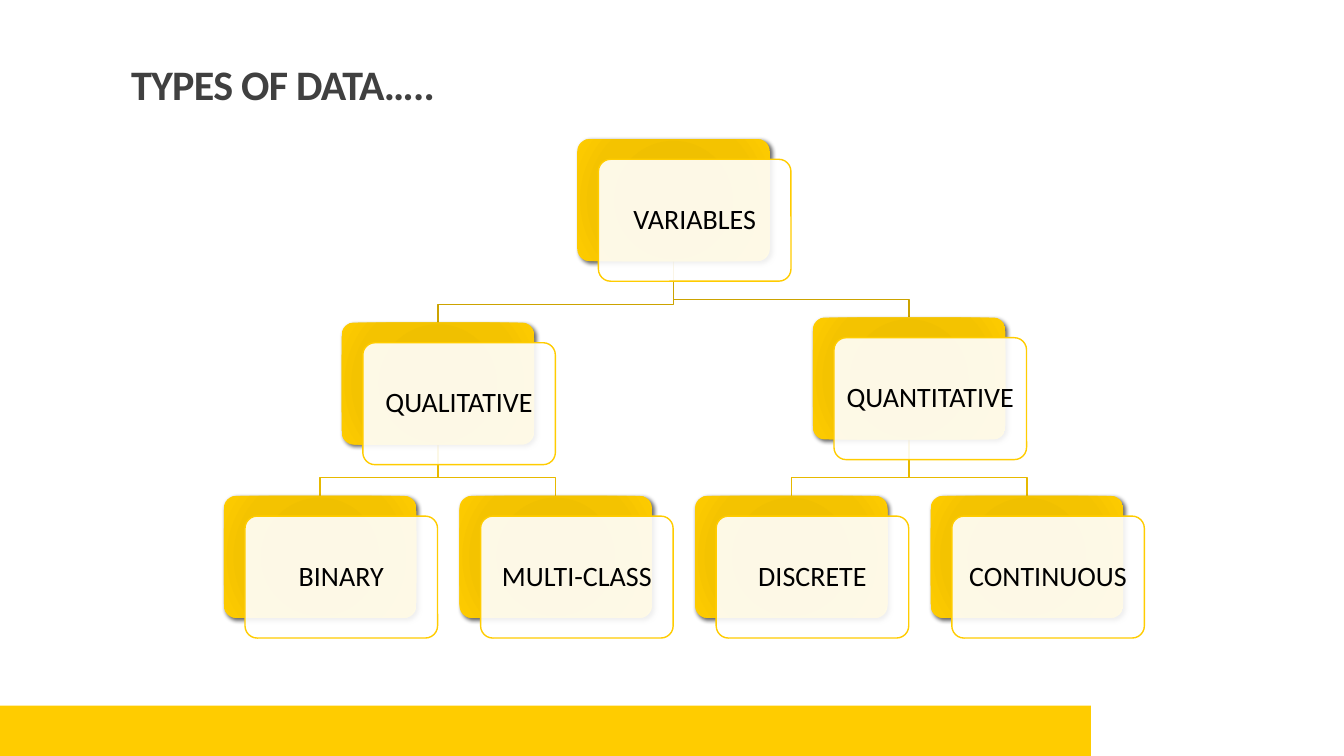
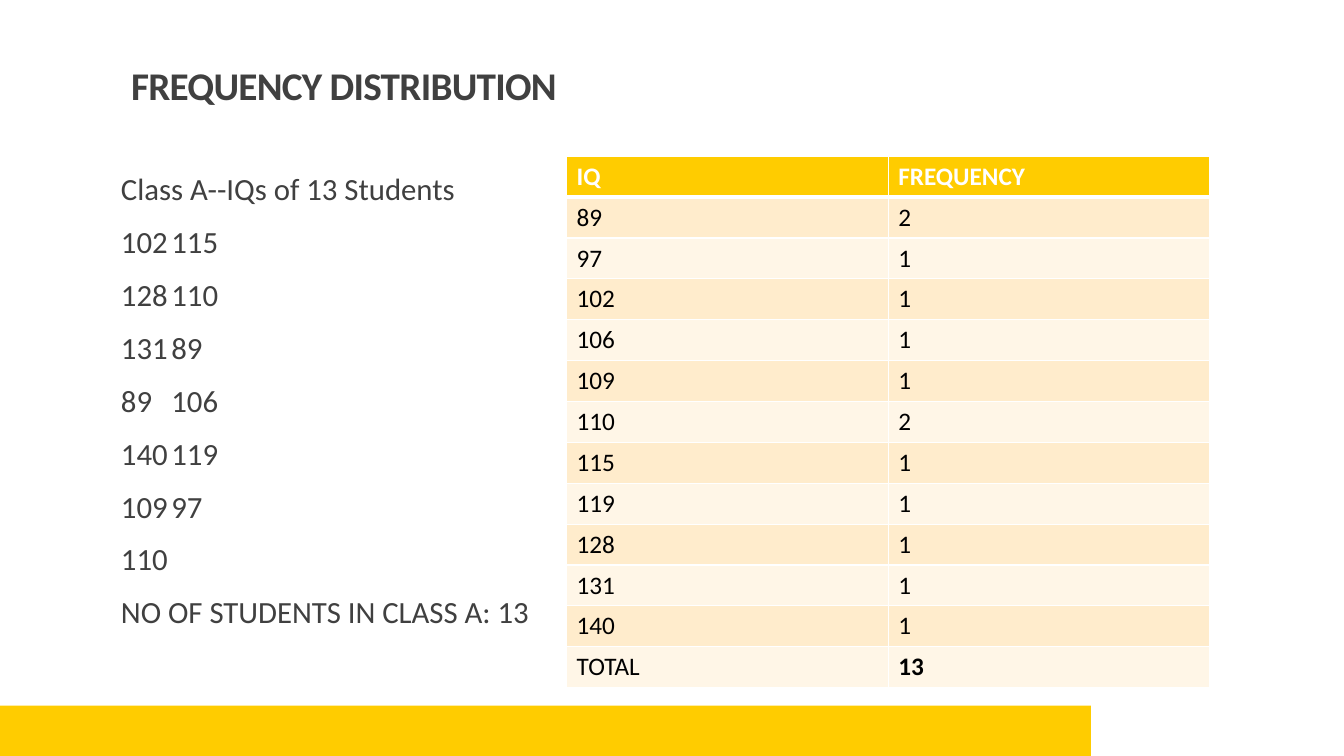
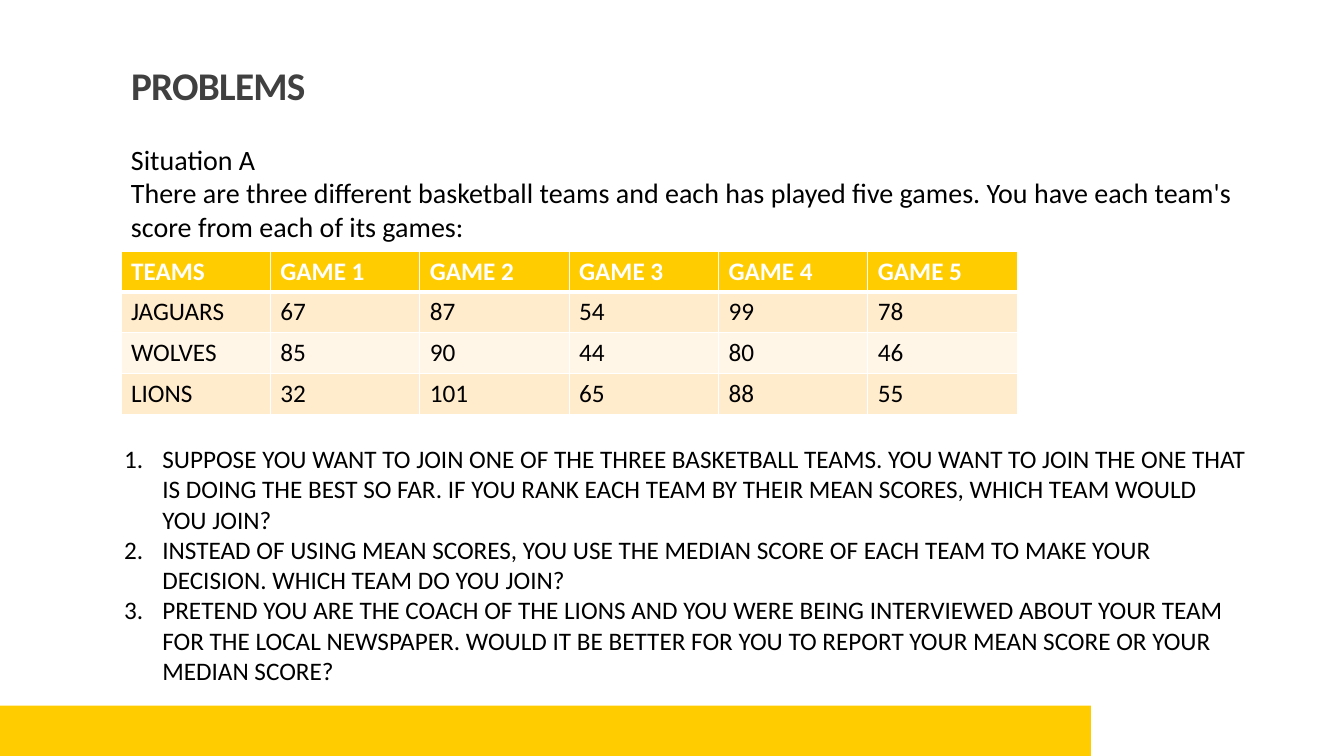
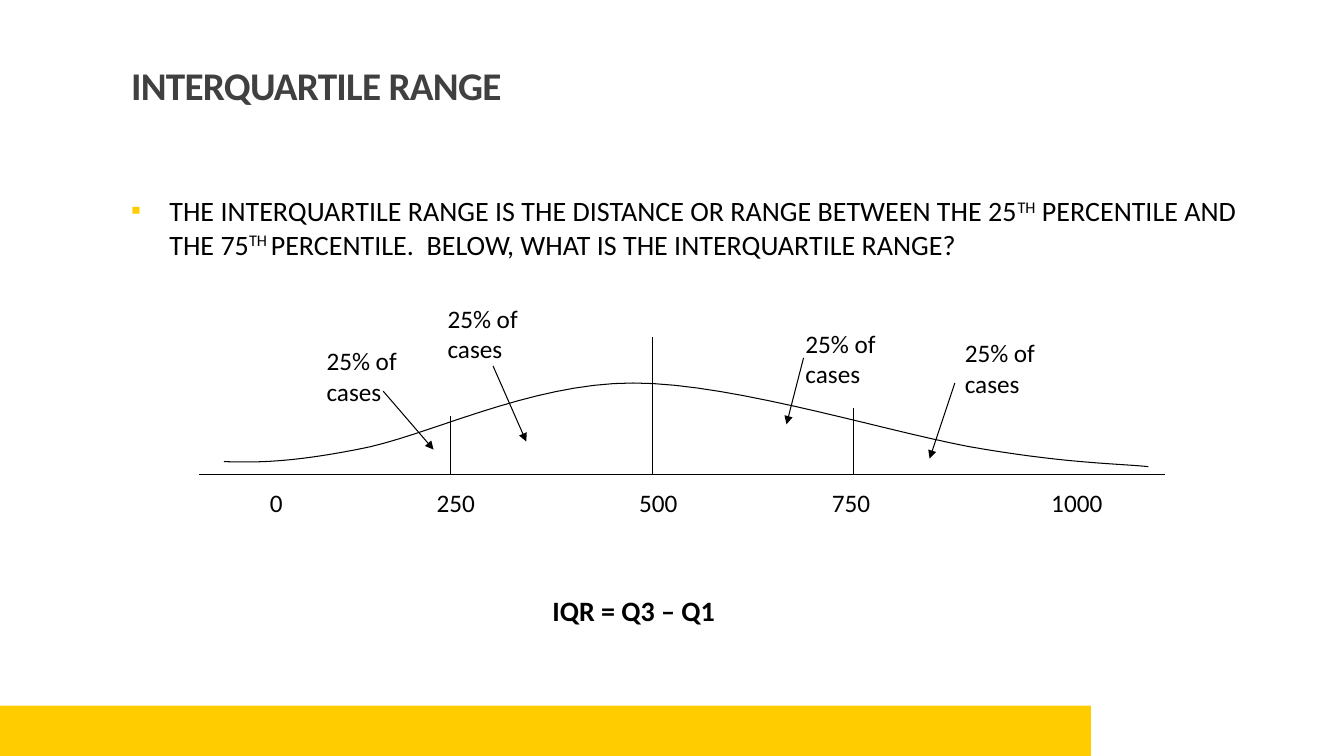
import pptx
import pptx.chart.data
import pptx.dml.color
import pptx.enum.shapes
import pptx.enum.text
import pptx.oxml
import pptx.oxml.ns
import pptx.util

Inches = pptx.util.Inches
Pt = pptx.util.Pt
qn = pptx.oxml.ns.qn
SHAPES = pptx.enum.shapes.MSO_SHAPE
ALIGN = pptx.enum.text.PP_ALIGN
ANCHOR = pptx.enum.text.MSO_ANCHOR

FONT = "Calibri"
GOLD = "FFCC00"
GRAY = "404040"
BLACK = "000000"
WHITE = "FFFFFF"
BANDS = ("FFF6E7", "FFECCC")
TITLE = (1.2, 0.31, 11, 0.82)


def color(code):
    """Turn a hex string into a colour."""
    return pptx.dml.color.RGBColor.from_string(code)


def node(tag, inner="", **attrs):
    """Build a drawing element from its tag, content and attributes."""
    pairs = "".join(f' {key}="{val}"' for key, val in attrs.items())
    space = pptx.oxml.ns.nsdecls("a")
    return pptx.oxml.parse_xml(f"<a:{tag} {space}{pairs}>{inner}</a:{tag}>")


def place(shape, box):
    """Move a shape to a box given in inches."""
    shape.left, shape.top, shape.width, shape.height = map(Inches, box)


def write(para, text, size, code=BLACK, bold=False):
    """Add one formatted run to a paragraph."""
    run = para.add_run()
    run.text = text
    font = run.font
    font.name, font.size, font.bold = FONT, Pt(size), bold
    font.color.rgb = color(code)
    return run


def lines(frame, count):
    """Yield the wanted number of paragraphs of a text frame."""
    for index in range(count):
        yield frame.add_paragraph() if index else frame.paragraphs[0]


def label(slide, box, texts, size=18, bold=False, align=ALIGN.LEFT):
    """Add a wrapped text box with one paragraph per text."""
    frame = slide.shapes.add_textbox(*map(Inches, box)).text_frame
    frame.word_wrap = True
    for para, text in zip(lines(frame, len(texts)), texts):
        para.alignment = align
        write(para, text, size, bold=bold)


def start(deck, layout, text, size=28):
    """Add a slide and format its title."""
    slide = deck.slides.add_slide(deck.slide_layouts[layout])
    title = slide.shapes.title
    place(title, TITLE)
    frame = title.text_frame
    frame.auto_size = pptx.enum.text.MSO_AUTO_SIZE.NONE
    frame.vertical_anchor = ANCHOR.BOTTOM
    para = frame.paragraphs[0]
    para.alignment, para.line_spacing = ALIGN.LEFT, 0.85
    run = write(para, text, size, GRAY, True)
    run.font._element.set("spc", "-50")
    return slide


def body(slide, box, count, marks, indent=0):
    """Move the body placeholder and yield its paragraphs with their marks."""
    shape = slide.placeholders[1]
    place(shape, box)
    frame = shape.text_frame
    frame.auto_size = pptx.enum.text.MSO_AUTO_SIZE.NONE
    for para in lines(frame, count):
        props = para._p.get_or_add_pPr()
        props.set("marL", str(Inches(indent)))
        props.set("indent", str(-Inches(indent)))
        for mark in marks:
            props.append(node(*mark[:-1], **mark[-1]))
        para.space_before = para.space_after = Pt(0)
        yield para


def band(deck, slide):
    """Put the bottom band on the slide master."""
    bar = slide.shapes.add_shape(SHAPES.RECTANGLE, *map(Inches, (0, 7, 10.82, 0.5)))
    bar.shadow.inherit = False
    bar.fill.solid()
    bar.fill.fore_color.rgb = color(GOLD)
    bar.line.fill.background()
    deck.slide_master.shapes.element.append(bar.element)


def trace(slide, points, code, width):
    """Draw an open outline through points in inches."""
    spots = [(Inches(x), Inches(y)) for x, y in points]
    build = slide.shapes.build_freeform(*spots[0])
    build.add_line_segments(spots[1:], close=False)
    shape = build.convert_to_shape()
    shape.shadow.inherit = False
    shape.fill.background()
    shape.line.color.rgb = color(code)
    shape.line.width = Pt(width)


def rule(slide, ends, arrow=False):
    """Draw a thin straight line, with an arrowhead if wanted."""
    kind = pptx.enum.shapes.MSO_CONNECTOR.STRAIGHT
    line = slide.shapes.add_connector(kind, *map(Inches, ends))
    line.line.color.rgb = color(BLACK)
    line.line.width = Pt(0.75)
    props = line.element.spPr
    if arrow:
        props.find(qn("a:ln")).append(node("tailEnd", type="triangle"))
    props.append(node("effectLst"))


def card(slide, x, y, size, shift, text):
    """Draw a gold block with a white labelled card in front."""
    block, front = (
        slide.shapes.add_shape(
            SHAPES.ROUNDED_RECTANGLE, *map(Inches, (x + dx, y + dy, *size)))
        for dx, dy in ((0, 0), shift))
    for shape in (block, front):
        shape.adjustments[0] = 0.1
        shape.shadow.inherit = False
    block.line.fill.background()
    block.fill.gradient()
    stops = ((0, "EEBE00"), (34, "F0C000"), (70, "F4C300"), (100, GOLD))
    inner = "".join(
        f'<a:gs pos="{pos}000"><a:srgbClr val="{code}"/></a:gs>' for pos, code in stops)
    focus = '<a:fillToRect l="100000" t="100000" r="100000" b="100000"/>'
    props = block.element.spPr
    props.replace(props.find(qn("a:gradFill")), node(
        "gradFill", f'<a:gsLst>{inner}</a:gsLst><a:path path="circle">{focus}</a:path>'))
    props.find(qn("a:effectLst")).append(node(
        "outerShdw", f'<a:srgbClr val="{BLACK}"><a:alpha val="60000"/></a:srgbClr>',
        blurRad=Pt(3), dist=Pt(2), dir=45 * 60000))
    front.fill.solid()
    front.fill.fore_color.rgb = color(WHITE)
    front.element.spPr.find(".//" + qn("a:srgbClr")).append(node("alpha", val=90000))
    front.line.color.rgb = color(GOLD)
    front.line.width = Pt(1)
    frame = front.text_frame
    frame.word_wrap = True
    frame.margin_left = frame.margin_right = Inches(0.05)
    frame.vertical_anchor = ANCHOR.MIDDLE
    para = frame.paragraphs[0]
    para.alignment, para.line_spacing = ALIGN.CENTER, 0.9
    write(para, text, 20)


def tree(slide, box, root):
    """Draw a tree of cards whose leaves share the box width equally."""
    left, top, width, _ = box
    size, shift = (1.91, 1.21), (0.21, 0.2)
    step = (width - size[0] - shift[0]) / 3
    leaves, cards = [], []

    def visit(item):
        """Place one branch and draw the links to its children."""
        text, drop, kids = item
        y = top + drop
        spots = [visit(kid) for kid in kids]
        if spots:
            x = sum(spot[0] for spot in spots) / len(spots)
        else:
            x = left + step * len(leaves)
            leaves.append(text)
        half = size[0] / 2
        for end, low in spots:
            bend = low - 0.18
            trace(slide, [(x + half, y + size[1]), (x + half, bend),
                          (end + half, bend), (end + half, low)],
                  "E7B900" if drop else "CCA300", 1)
        cards.append((x, y, text))
        return x, y

    visit(root)
    for x, y, text in cards:
        card(slide, x, y, size, shift, text)


def grid(slide, box, rows, strong=()):
    """Add a banded table with white cell borders."""
    table = slide.shapes.add_table(len(rows), len(rows[0]), *map(Inches, box)).table
    for i, row in enumerate(rows):
        for j, text in enumerate(row):
            cell = table.cell(i, j)
            props = cell._tc.get_or_add_tcPr()
            for side in "LRTB":
                thick = (i, side) in ((0, "B"), (1, "T"))
                props.append(node(
                    f"ln{side}",
                    f'<a:solidFill><a:srgbClr val="{WHITE}"/></a:solidFill>',
                    w=Pt(3 if thick else 1)))
            cell.fill.solid()
            cell.fill.fore_color.rgb = color(BANDS[i % 2] if i else GOLD)
            write(cell.text_frame.paragraphs[0], text, 18,
                  BLACK if i else WHITE, not i or (i, j) in strong)


def types(deck):
    """Build the slide with the tree of data types."""
    slide = start(deck, 5, "TYPES OF DATA…..", 30)
    band(deck, slide)
    leaf = 3.54
    tree(slide, (2.22, 1.38, 9.13, 4.95), ("VARIABLES", 0, [
        ("QUALITATIVE", 1.82, [("BINARY", leaf, []), ("MULTI-CLASS", leaf, [])]),
        ("QUANTITATIVE", 1.77, [("DISCRETE", leaf, []), ("CONTINUOUS", leaf, [])])]))


def counts(deck):
    """Build the slide with raw values and their frequencies."""
    slide = start(deck, 1, "FREQUENCY DISTRIBUTION")
    texts = ["Class A--IQs of 13 Students", "102\t115", "128\t110", "131\t89",
             "89\t106", "140\t119", "109\t97", "110", "NO OF STUDENTS IN CLASS A: 13"]
    stop = f'<a:tab pos="{Inches(2.1)}" algn="l"/>'
    marks = [("buNone", {}), ("tabLst", stop, {})]
    paras = body(slide, (1.2, 1.68, 4.42, 5.2), len(texts), marks)
    for i, (para, text) in enumerate(zip(paras, texts)):
        para.line_spacing = 0.9
        para.space_before, para.space_after = Pt(12 if i else 0), Pt(2)
        write(para, text, 22, GRAY)
    frame = slide.placeholders[1].text_frame
    frame.margin_left = frame.margin_right = 0
    values = [("89", "2"), ("97", "1"), ("102", "1"), ("106", "1"), ("109", "1"),
              ("110", "2"), ("115", "1"), ("119", "1"), ("128", "1"), ("131", "1"),
              ("140", "1")]
    rows = [("IQ", "FREQUENCY"), *values, ("TOTAL", "13")]
    grid(slide, (5.62, 1.55, 6.38, 5.2), rows, {(12, 1)})


def tasks(deck):
    """Build the slide with the team scores and questions."""
    slide = start(deck, 1, "PROBLEMS")
    label(slide, (1.2, 1.36, 11.75, 1.11), [
        "Situation A",
        "There are three different basketball teams and each has played five games. "
        "You have each team's score from each of its games:"], 20)
    grid(slide, (1.2, 2.49, 8.89, 1.62), [
        ("TEAMS", *(f"GAME {n}" for n in range(1, 6))),
        ("JAGUARS", "67", "87", "54", "99", "78"),
        ("WOLVES", "85", "90", "44", "80", "46"),
        ("LIONS", "32", "101", "65", "88", "55")])
    texts = [
        "SUPPOSE YOU WANT TO JOIN ONE OF THE THREE BASKETBALL TEAMS. YOU WANT TO JOIN "
        "THE ONE THAT IS DOING THE BEST SO FAR. IF YOU RANK EACH TEAM BY THEIR MEAN "
        "SCORES, WHICH TEAM WOULD YOU JOIN?",
        "INSTEAD OF USING MEAN SCORES, YOU USE THE MEDIAN SCORE OF EACH TEAM TO MAKE "
        "YOUR DECISION. WHICH TEAM DO YOU JOIN?",
        "PRETEND YOU ARE THE COACH OF THE LIONS AND YOU WERE BEING INTERVIEWED ABOUT "
        "YOUR TEAM FOR THE LOCAL NEWSPAPER. WOULD IT BE BETTER FOR YOU TO REPORT YOUR "
        "MEAN SCORE OR YOUR MEDIAN SCORE?"]
    marks = [("buAutoNum", {"type": "arabicPeriod"})]
    paras = body(slide, (1.13, 4.35, 11.33, 2.52), len(texts), marks, 0.38)
    for para, text in zip(paras, texts):
        write(para, text, 18)


def curve(first, arcs, steps=16):
    """Return points along joined cubic arcs."""
    points = [first]
    for b, c, d in arcs:
        a = points[-1]
        for k in range(1, steps + 1):
            t = k / steps
            s = 1 - t
            points.append(tuple(
                s**3 * p + 3 * s * s * t * q + 3 * s * t * t * r + t**3 * e
                for p, q, r, e in zip(a, b, c, d)))
    return points


def plot(slide, box):
    """Draw the bell curve with quartile lines, notes and axis labels."""
    left, top, width, height = box
    base = top + height

    def at(x, y):
        """Shift a point from the box to the slide."""
        return left + x, top + y

    arcs = [((0.57, 1.25), (0.9, 1.25), (1.57, 1.12)),
            ((2.25, 1), (3.27, 0.46), (4.31, 0.46)),
            ((5.35, 0.46), (6.96, 0.99), (7.81, 1.12)),
            ((8.66, 1.26), (9.13, 1.26), (9.42, 1.29))]
    trace(slide, curve(at(0.25, 1.24), [[at(*p) for p in arc] for arc in arcs]),
          BLACK, 0.75)
    rule(slide, (left, base, left + width, base))
    for x, y in ((2.5, 0.79), (4.5, 0), (6.5, 0.71)):
        rule(slide, (left + x, base, *at(x, y)))
    notes = [((1.17, 0.04), (1.83, 0.54), (2.33, 1.12)),
             ((2.37, -0.38), (2.92, 0.29), (3.25, 1.04)),
             ((5.92, -0.13), (6, 0.21), (5.83, 0.87)),
             ((7.5, -0.04), (7.5, 0.46), (7.25, 1.21))]
    for spot, tail, head in notes:
        label(slide, (*at(*spot), 0.92, 0.71), ["25% of cases"])
        rule(slide, (*at(*tail), *at(*head)), True)
    for x, text in ((0.77, "0"), (2.55, "250"), (4.56, "500"), (6.47, "750"),
                    (8.71, "1000")):
        label(slide, (left + x - 0.5, base + 0.08, 1, 0.4), [text],
              align=ALIGN.CENTER)


def spread(deck):
    """Build the slide on the interquartile range."""
    slide = start(deck, 1, "INTERQUARTILE RANGE")
    tint = f'<a:srgbClr val="{GOLD}"/>'
    marks = [("buClr", tint, {}), ("buFont", {"typeface": "Arial"}),
             ("buChar", {"char": "▪"})]
    parts = [("THE INTERQUARTILE RANGE IS THE DISTANCE OR RANGE BETWEEN THE 25", 0),
             ("TH", 1), (" PERCENTILE AND THE 75", 0), ("TH ", 1),
             ("PERCENTILE.  BELOW, WHAT IS THE INTERQUARTILE RANGE?", 0)]
    for para in body(slide, (1.2, 1.87, 11.31, 0.78), 1, marks, 0.38):
        for text, high in parts:
            run = write(para, text, 20)
            if high:
                run.font._element.set("baseline", "30000")
    plot(slide, (1.97, 3.34, 9.58, 1.37))
    label(slide, (5.38, 5.84, 3.92, 0.44), ["IQR = Q3 – Q1"], 20, True)


def main():
    """Build and save the deck."""
    deck = pptx.Presentation()
    deck.slide_width, deck.slide_height = Inches(13.33), Inches(7.5)
    for build in (types, counts, tasks, spread):
        build(deck)
    deck.save("out.pptx")


if __name__ == "__main__":
    main()
